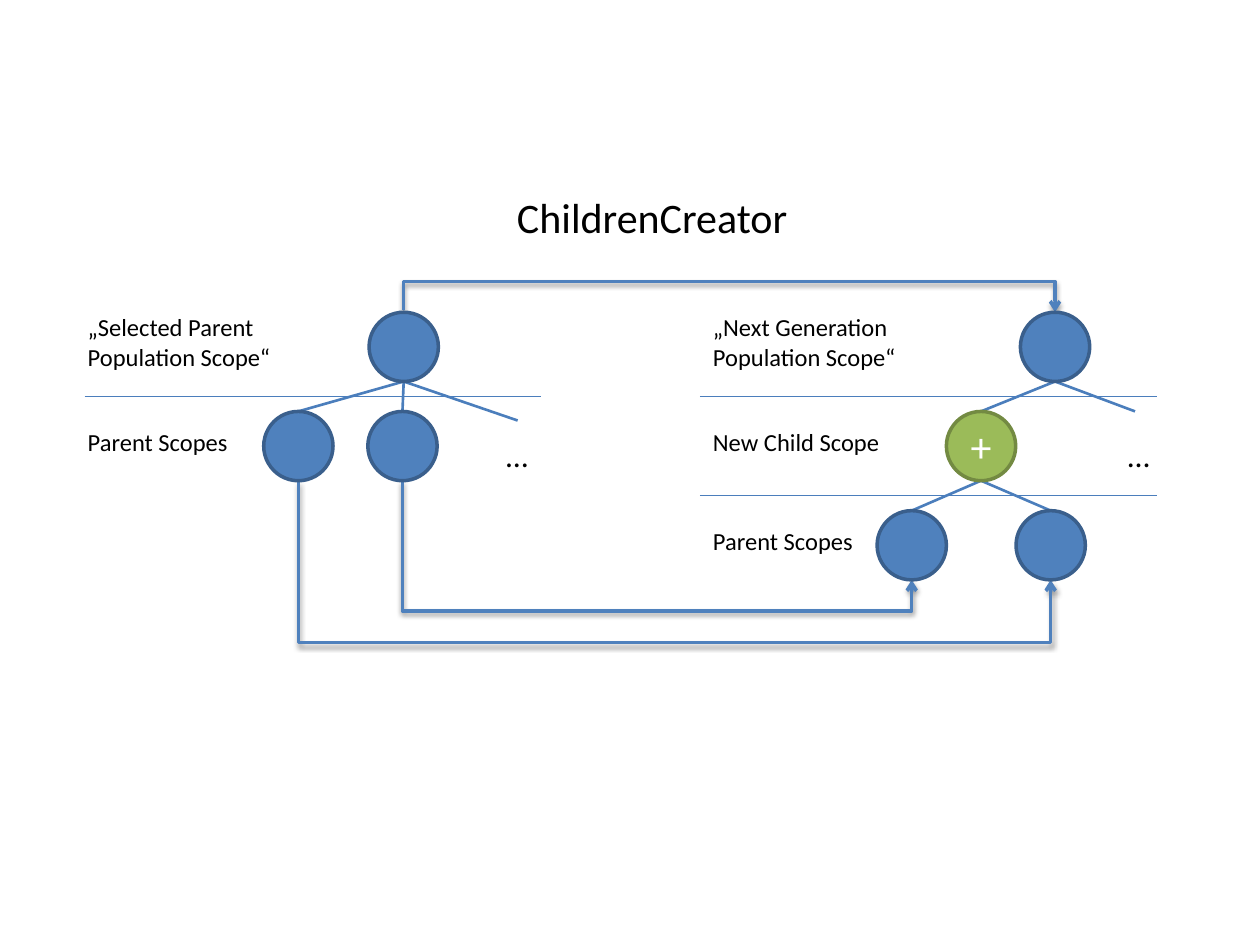
from lxml import etree
from pptx import Presentation
from pptx.dml.color import RGBColor
from pptx.enum.shapes import MSO_CONNECTOR as Connector, MSO_SHAPE as Preset
from pptx.enum.text import MSO_ANCHOR as Anchor, MSO_AUTO_SIZE as AutoSize, PP_ALIGN as Align
from pptx.oxml import parse_xml
from pptx.oxml.ns import nsdecls, qn
from pptx.util import Pt

BLACK = RGBColor(0x00, 0x00, 0x00)
WHITE = RGBColor(0xFF, 0xFF, 0xFF)
BLUE = RGBColor(0x4F, 0x81, 0xBD)
LINK_BLUE = RGBColor(0x4B, 0x7E, 0xBC)
DARK_BLUE = RGBColor(0x3A, 0x5F, 0x8C)
GREEN = RGBColor(0x9B, 0xBB, 0x59)
DARK_GREEN = RGBColor(0x73, 0x8A, 0x42)

DIAMETER = 39.6
FIRST_ROW, ROW_PITCH = 178.4, 56.7


def row_top(row):
    """Return the top of a row of scopes."""
    return FIRST_ROW + row * ROW_PITCH


def row_bottom(row):
    """Return the bottom of a row of scopes."""
    return row_top(row) + DIAMETER


class ScopeDiagram:
    """Draws scope trees on one slide in a common style."""

    font_name = "Calibri"

    def __init__(self, slide):
        """Keep the slide to draw on."""
        self.slide = slide

    def set_text(self, frame, text, size, color=BLACK, align=Align.LEFT):
        """Fill a text frame with styled paragraphs."""
        frame.text = text
        for paragraph in frame.paragraphs:
            paragraph.alignment = align
            paragraph.font.name = self.font_name
            paragraph.font.size = Pt(size)
            paragraph.font.color.rgb = color

    def fit(self, frame):
        """Let a frame grow with its unwrapped text."""
        frame.word_wrap = False
        frame.auto_size = AutoSize.SHAPE_TO_FIT_TEXT
        frame.vertical_anchor = Anchor.TOP

    def title(self, text, left, top, width, height):
        """Place the slide title."""
        title = self.slide.shapes.title
        title.left, title.top = Pt(left), Pt(top)
        title.width, title.height = Pt(width), Pt(height)
        self.set_text(title.text_frame, text, 24)
        self.fit(title.text_frame)

    def label(self, text, left, top, width, height, size=14):
        """Add a text label."""
        box = self.slide.shapes.add_textbox(Pt(left), Pt(top), Pt(width), Pt(height))
        self.set_text(box.text_frame, text, size)
        self.fit(box.text_frame)

    def connector(self, kind, start, end, color, weight):
        """Add a connector without effects and return it."""
        connector = self.slide.shapes.add_connector(kind, *map(Pt, start + end))
        connector.line.color.rgb = color
        connector.line.width = Pt(weight)
        etree.SubElement(connector.element.spPr, qn("a:effectLst"))
        return connector

    def line(self, start, end, weight=1.5):
        """Add a straight line."""
        self.connector(Connector.STRAIGHT, start, end, LINK_BLUE, weight)

    def copy_arrow(self, start, end, via):
        """Add an arrow that runs vertically to the height via, across, and back to end."""
        (x1, y1), (x2, y2) = start, end
        run, rise = x2 - x1, y2 - y1
        mid_x, mid_y = (x1 + x2) / 2, (y1 + y2) / 2
        # The unrotated frame is mirrored, then turned by 270 degrees.
        arrow = self.connector(
            Connector.ELBOW,
            (mid_x + rise / 2, mid_y - run / 2),
            (mid_x - rise / 2, mid_y + run / 2),
            BLUE, 2)
        properties = arrow.element.spPr
        properties.find(qn("a:xfrm")).set("rot", "16200000")
        bend = round((via - y1) / rise * 100000)
        geometry = properties.find(qn("a:prstGeom"))
        geometry.get_or_add_avLst().append(parse_xml(
            f'<a:gd {nsdecls("a")} name="adj1" fmla="val {bend}"/>'))
        etree.SubElement(properties.find(qn("a:ln")), qn("a:tailEnd"), type="arrow")
        properties.find(qn("a:effectLst")).append(parse_xml(
            f'<a:outerShdw {nsdecls("a")} blurRad="{Pt(3.1)}" dist="{Pt(1.6)}" '
            'dir="5400000" rotWithShape="0"><a:srgbClr val="000000">'
            '<a:alpha val="38000"/></a:srgbClr></a:outerShdw>'))

    def scope(self, center, row, fill=BLUE, outline=DARK_BLUE, text=""):
        """Add a scope circle to a row."""
        circle = self.slide.shapes.add_shape(
            Preset.OVAL, Pt(center - DIAMETER / 2), Pt(row_top(row)),
            Pt(DIAMETER), Pt(DIAMETER))
        circle.shadow.inherit = False
        circle.fill.solid()
        circle.fill.fore_color.rgb = fill
        circle.line.color.rgb = outline
        circle.line.width = Pt(2)
        if text:
            circle.text_frame.vertical_anchor = Anchor.MIDDLE
            self.set_text(circle.text_frame, text, 24, WHITE, Align.CENTER)


def main():
    """Build and save the slide."""
    deck = Presentation()
    deck.slide_width, deck.slide_height = Pt(720), Pt(540)
    diagram = ScopeDiagram(deck.slides.add_slide(deck.slide_layouts[5]))
    diagram.title("ChildrenCreator", 288.2, 106, 170.6, 36)

    selected, parent_1, parent_2 = 230.7, 170.5, 230
    next_generation, child, child_parent_1, child_parent_2 = 602.9, 560.6, 521, 600.4

    links = [
        (next_generation, 0, child, row_top(1)),
        (next_generation, 0, 648.6, row_top(1)),
        (child, 1, child_parent_1, row_top(2)),
        (child, 1, child_parent_2, row_top(2)),
        (selected, 0, parent_1, row_top(1)),
        (selected, 0, parent_2, row_top(1)),
        (selected, 0, 295.8, 240.3),
    ]
    for upper, row, lower, lower_top in links:
        diagram.line((upper, row_bottom(row)), (lower, lower_top))

    for left, right, y in [(48.4, 309.4, 226.6), (400, 661, 226.6), (400, 661, 283.3)]:
        diagram.line((left, y), (right, y), weight=0.75)

    for left in (282.2, 637.4):
        diagram.label("…", left, 245.4, 27.4, 29, size=18)
    diagram.label("„Selected Parent\nPopulation Scope“", 43, 175, 120, 41)
    diagram.label("Parent Scopes", 43, 240.4, 95, 24.2)
    diagram.label("„Next Generation\nPopulation Scope“", 400.3, 175, 120, 41)
    diagram.label("New Child Scope", 400.3, 240.7, 110, 24.2)
    diagram.label("Parent Scopes", 400.3, 297.2, 95, 24.2)

    diagram.copy_arrow((selected, row_top(0) - 1), (next_generation, row_top(0)), 160.7)
    for source, target, via in [(parent_1, child_parent_2, 367.3),
                                (parent_2, child_parent_1, 349.2)]:
        diagram.copy_arrow((source, row_bottom(1)), (target, row_bottom(2)), via)

    for center, row in [(selected, 0), (parent_1, 1), (parent_2, 1),
                        (next_generation, 0), (child_parent_1, 2), (child_parent_2, 2)]:
        diagram.scope(center, row)
    diagram.scope(child, 1, GREEN, DARK_GREEN, "+")

    deck.save("out.pptx")


main()
